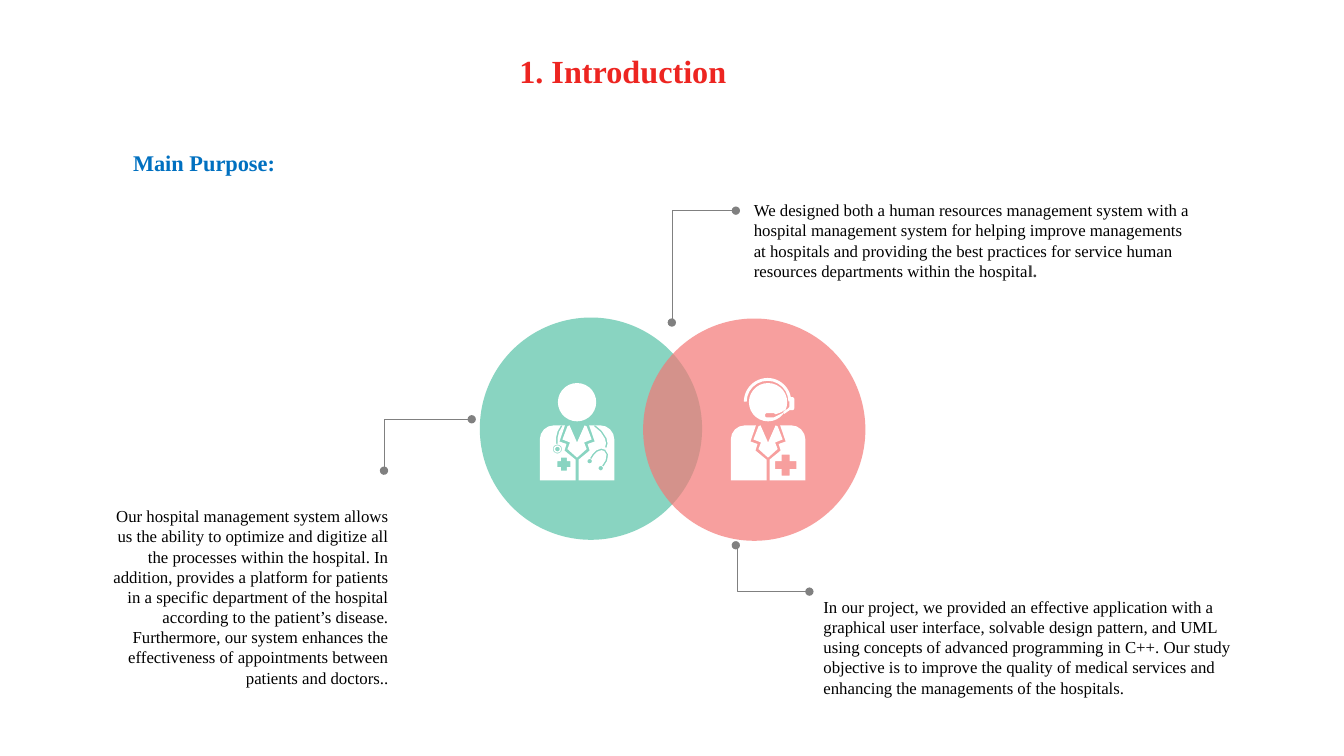
import math
import pptx
import pptx.util
import pptx.dml.color
import pptx.enum.shapes
import pptx.enum.text
import pptx.oxml
import pptx.oxml.ns

HEX = {"red": "ED2521", "blue": "0070C0", "black": "000000", "dark": "404040",
       "gray": "808080", "green": "57C3A7", "pink": "F47775", "white": "FFFFFF"}
FONT = "Times New Roman"
CELL = 91440                      # square grid: 75 rows, 133.3 columns
COLS, ROWS = 133.33, 75
KIND = pptx.enum.shapes.MSO_SHAPE
ALIGN = pptx.enum.text.PP_ALIGN
ANCHOR = pptx.enum.text.MSO_ANCHOR


def cells(*sizes):
    return [round(size * CELL) for size in sizes]


def tint(name):
    return pptx.dml.color.RGBColor.from_string(HEX[name])


def node(parent, tag, **attrs):
    item = pptx.oxml.parse_xml(f'<a:{tag} {pptx.oxml.ns.nsdecls("a")}/>')
    for key, value in attrs.items():
        item.set(key, value)
    parent.append(item)
    return item


def write(frame, text, size=12, color="black", bold=False, align=ALIGN.LEFT,
          anchor=ANCHOR.TOP, lead=None, before=0, tail=""):
    frame.word_wrap = True
    frame.auto_size = pptx.enum.text.MSO_AUTO_SIZE.NONE
    frame.vertical_anchor = anchor
    para = frame.paragraphs[0]
    para.alignment = align
    para.space_before = pptx.util.Pt(before)
    if lead:
        para.line_spacing = lead
    for words, shade, heavy in ((text, color, bold), (tail, "dark", True)):
        if words:
            run = para.add_run()
            run.text = words
            run.font.name, run.font.size = FONT, pptx.util.Pt(size)
            run.font.bold, run.font.color.rgb = heavy, tint(shade)


# Outlines, measured from the top middle of an icon
def arc(x, y, size, first=0, last=360, count=12):
    turns = [math.radians(first + (last - first) * i / count)
             for i in range(count + 1)]
    return [(x + size * math.cos(a), y + size * math.sin(a)) for a in turns]


def flip(points):
    return [(-x, y) for x, y in points]


def cross(x, y, size, arm):
    steps = [(-arm, -size), (arm, -size), (arm, -arm), (size, -arm)]
    right = steps[1:] + [(a, -b) for a, b in reversed(steps[1:])]
    return [(x + a, y + b) for a, b in right + flip(right[::-1])]


def tube(points, half=0.08):
    """Thin band that runs along the points."""
    sides = [], []
    for i, (x, y) in enumerate(points):
        before, after = points[max(i - 1, 0)], points[min(i + 1, len(points) - 1)]
        dx, dy = after[0] - before[0], after[1] - before[1]
        size = math.hypot(dx, dy) / half
        sides[0].append((x - dy / size, y + dx / size))
        sides[1].append((x + dy / size, y - dx / size))
    return sides[0] + sides[1][::-1]


class Board:
    def __init__(self, deck):
        self.slide = deck.slides.add_slide(deck.slide_layouts[5])
        self.shapes = self.slide.shapes
        self.x = self.y = 0       # origin of the part being drawn

    def title(self, box, text, **style):
        item = self.shapes.title
        item.left, item.top, item.width, item.height = cells(*box)
        write(item.text_frame, text, **style)

    def text(self, box, text, **style):
        write(self.shapes.add_textbox(*cells(*box)).text_frame, text, **style)

    def paint(self, item, fill, turn=0):
        item.shadow.inherit = False
        item.fill.solid()
        item.fill.fore_color.rgb = tint(fill)
        item.line.fill.background()
        item.rotation = turn

    def shape(self, kind, box, fill, adjust=(), alpha=None, turn=0):
        left, top, wide, high = box
        item = self.shapes.add_shape(
            kind, *cells(self.x + left, self.y + top, wide, high))
        self.paint(item, fill, turn)
        for index, value in enumerate(adjust):
            item.adjustments[index] = value
        if alpha:
            color = item.fill._xPr.find(".//" + pptx.oxml.ns.qn("a:srgbClr"))
            node(color, "alpha", val=str(alpha * 1000))

    def trace(self, rings, fill):
        """One shape from many rings; inner rings are holes."""
        pen = None
        for ring in rings:
            spots = [cells(self.x + x, self.y + y) for x, y in ring]
            if pen:
                pen.move_to(*spots[0])
            else:
                pen = self.shapes.build_freeform(*spots[0], scale=1.0)
            pen.add_line_segments(spots[1:], close=True)
        self.paint(pen.convert_to_shape(), fill)

    def lead(self, start, end, bend):
        """Callout line: straight up or down, then across."""
        line = self.shapes.add_connector(
            pptx.enum.shapes.MSO_CONNECTOR.ELBOW, *cells(*start, *end))
        line.line.color.rgb = tint("gray")
        line.line.width = pptx.util.Pt(0.5)
        props = line._element.spPr
        node(props.prstGeom.get_or_add_avLst(), "gd", name="adj1",
             fmla=f"val {bend}")
        for tag in ("headEnd", "tailEnd"):
            node(line.line._get_or_add_ln(), tag, type="oval")
        node(props, "effectLst")

    def person(self, x, y, holes):
        """Head, coat halves and collar about a middle line."""
        self.x, self.y = x, y
        half = arc(-2.3, 5.6, 1.4, 180, 270, 4) + [
            (-1.2, 4.2), (-1.75, 5.8), (-1.05, 6.05), (-1.25, 6.7),
            (-0.15, 7.6), (-0.15, 9.65), (-3.7, 9.65)]
        edge = [(-0.75, 4.2), (-0.95, 4.3), (-1.45, 5.6), (-0.7, 5.9),
                (-0.95, 6.55)]
        collar = [(0, 5.9)] + edge + [(0, 7.4)] + flip(edge[::-1])
        head = arc(0, 1.9, 1.9, count=28)
        self.trace([half, flip(half), collar, head] + holes, "white")


def main():
    deck = pptx.Presentation()
    deck.slide_width, deck.slide_height = cells(COLS, ROWS)
    board = Board(deck)

    # Headings
    head = dict(bold=True, align=ALIGN.CENTER, anchor=ANCHOR.MIDDLE,
                lead=0.9, before=10)
    board.title((37.75, 3.3, 48.1, 7.9), "1. Introduction", size=23,
                color="red", **head)
    board.text((0.95, 12.3, 38.6, 7.9), "Main Purpose:", size=16,
               color="blue", **head)

    # Overlapping circles
    board.shape(KIND.OVAL, (47.6, 31.5, 22.05, 22.05), "green", alpha=70)
    board.shape(KIND.OVAL, (63.8, 31.6, 22.05, 22.05), "pink", alpha=70)

    # Callout lines
    for start, end, bend in (((66.65, 32), (73, 20.9), 100),
                             ((38.1, 46.7), (46.8, 41.6), 500),
                             ((73, 54.1), (80.3, 58.7), 1800)):
        board.lead(start, end, bend)

    # Callout texts
    board.text((73.8, 19.35, 45.3, 9.1),
               "We designed both a human resources management system with a hospital "
               "management system for helping improve managements at hospitals and "
               "providing the best practices for service human resources departments "
               "within the hospita", tail="l.")
    board.text((8.95, 49.7, 30.6, 19.2),
               "Our hospital management system allows us the ability to optimize and "
               "digitize all the processes within the hospital. In addition, provides a "
               "platform for patients in a specific department of the hospital according "
               "to the patient’s disease. Furthermore, our system enhances the "
               "effectiveness of appointments between patients and doctors..",
               align=ALIGN.RIGHT)
    board.text((80.7, 58.7, 45.1, 11.1),
               "In our project, we provided an effective application with a graphical "
               "user interface, solvable design pattern, and UML using concepts of "
               "advanced programming in C++. Our study objective is to improve the "
               "quality of medical services and enhancing the managements of the "
               "hospitals.")

    # Doctor with stethoscope
    tubes = [[(-1.5, 4.2), (-1.85, 4.8), (-2, 5.4), (-2, 6.05)],
             [(1.7, 4.2), (2.4, 4.8), (2.85, 5.5), (2.95, 6), (2.85, 6.4)],
             [(1.35, 7.5), (1.6, 7.1), (1.95, 6.75), (2.4, 6.58), (2.75, 6.68),
              (3, 7.1), (2.9, 7.7), (2.55, 8.25)]]
    discs = [(-1.95, 6.55, 0.45), (-1.95, 6.55, 0.37), (-1.95, 6.55, 0.23),
             (1.25, 7.75, 0.22), (2.35, 8.45, 0.22)]
    board.person(57.25, 38, [cross(-1.3, 8.05, 0.65, 0.3)]
                 + [tube(points) for points in tubes]
                 + [arc(*disc) for disc in discs])

    # Helper with headset
    mouth = [(-0.3, 3.1), (-0.2, 3), (0.6, 3), (0.75, 3.1), (1.3, 2.9),
             (1.68, 2.65), (1.6, 2.88), (1.2, 3.1), (0.8, 3.3), (0.6, 3.4),
             (-0.2, 3.4), (-0.3, 3.3)]
    board.person(76.2, 38, [cross(1.75, 8.15, 1.05, 0.4), mouth])
    board.shape(KIND.BLOCK_ARC, (-2.4, -0.5, 4.7, 4.7), "white",
                adjust=[108, 215.41, 0.06])
    board.shape(KIND.ROUND_2_SAME_RECTANGLE, (1.7, 1.8, 1.3, 0.5), "white",
                adjust=[0.4, 0], turn=90)
    board.shape(KIND.BLOCK_ARC, (-2.6, -2.3, 5.7, 5.7), "white",
                adjust=[24.82, 36.97, 0.04])

    deck.save("out.pptx")


if __name__ == "__main__":
    main()
